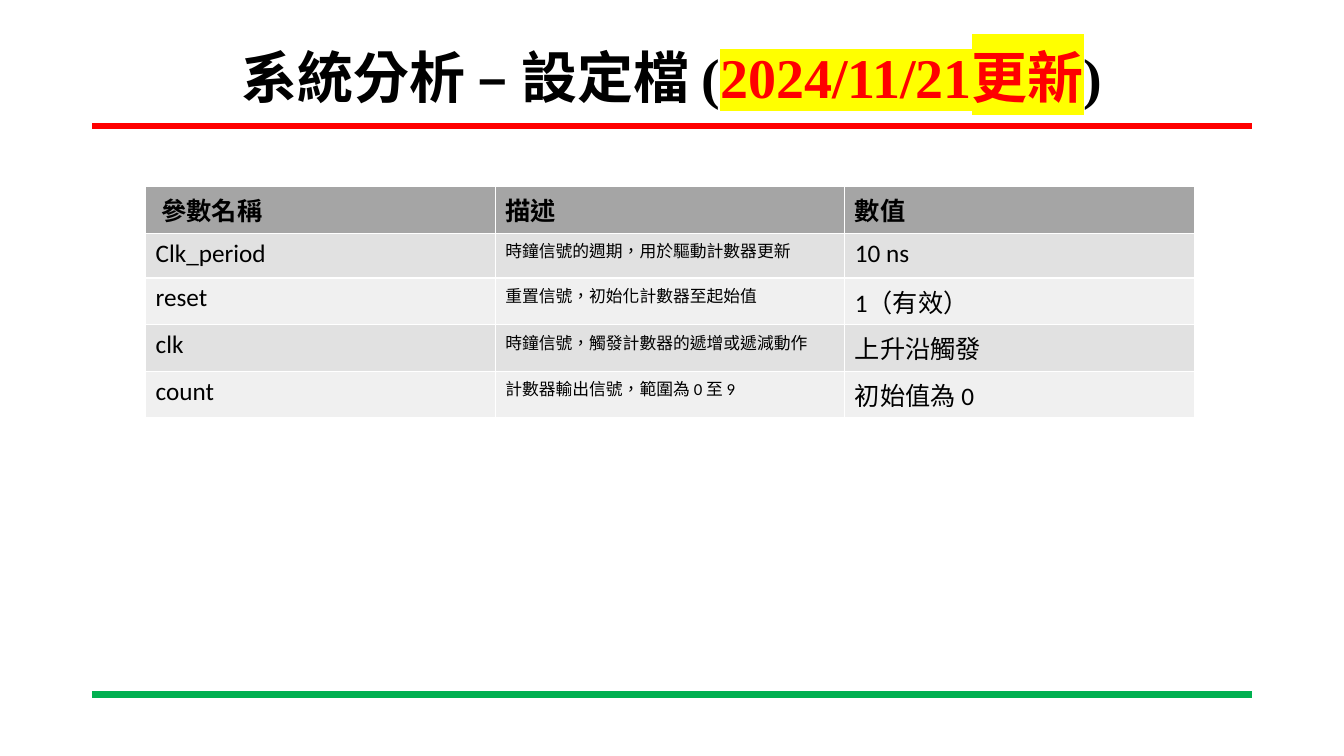
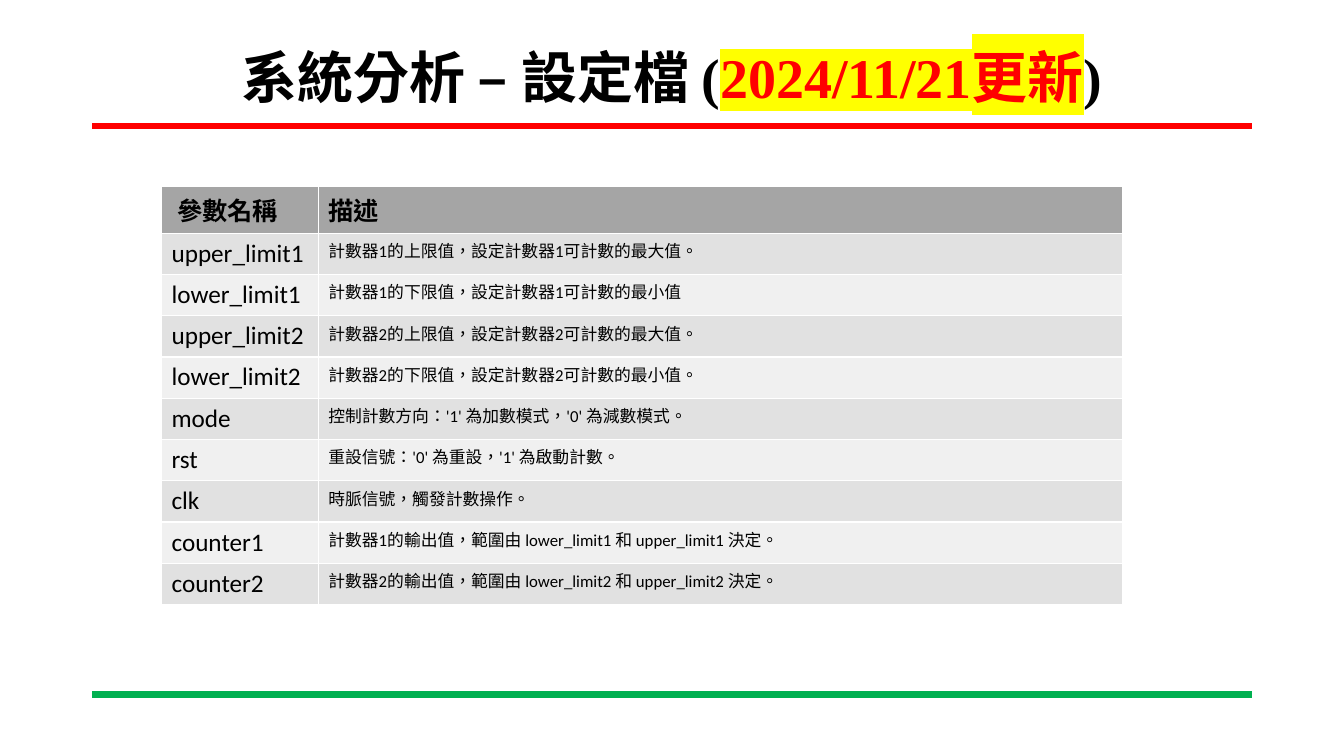
from dataclasses import dataclass

from lxml.etree import SubElement
from pptx import Presentation
from pptx.dml.color import RGBColor
from pptx.enum.lang import MSO_LANGUAGE_ID as Language
from pptx.enum.shapes import MSO_CONNECTOR as Connector
from pptx.enum.text import MSO_ANCHOR as Anchor, MSO_AUTO_SIZE as AutoSize, PP_ALIGN as Align
from pptx.oxml.ns import qn
from pptx.slide import Slide, SlideLayout
from pptx.util import Cm, Pt

COLOURS = {
    "text": "000000",
    "update": "FF0000",
    "marker": "FFFF00",
    "top_rule": "FF0000",
    "bottom_rule": "00B050",
    "header": "A5A5A5",
    "odd_row": "E1E1E1",
    "even_row": "F0F0F0",
}
TITLE_FONT = "Times New Roman"
TABLE_FONT = "Calibri"
MARGIN = 2.33
CONTENT_WIDTH = 29.21
TABLE_TOP = 4.7
DESCRIPTION_COLUMN = 1


@dataclass(frozen=True)
class TextRun:
    text: str
    colour: str = "text"
    highlight: str | None = None


@dataclass(frozen=True)
class Rule:
    y: float
    colour: str


@dataclass(frozen=True)
class ParameterTable:
    left: float
    column_widths: tuple[float, ...]
    row_height: float
    rows: tuple[tuple[str, ...], ...]


TITLE = (
    TextRun("系統分析 – 設定檔 ("),
    TextRun("2024/11/21更新", "update", "marker"),
    TextRun(")"),
)
RULES = (Rule(3.18, "top_rule"), Rule(17.5, "bottom_rule"))

SIGNALS = ParameterTable(3.67, (8.81,) * 3, 1.13, (
    (" 參數名稱", "描述", "數值"),
    ("Clk_period", "時鐘信號的週期，用於驅動計數器更新", "10 ns"),
    ("reset", "重置信號，初始化計數器至起始值", "1（有效）"),
    ("clk", "時鐘信號，觸發計數器的遞增或遞減動作", "上升沿觸發"),
    ("count", "計數器輸出信號，範圍為 0 至 9", "初始值為 0"),
))
COUNTERS = ParameterTable(4.07, (3.95, 20.27), 1.04, (
    (" 參數名稱", "描述"),
    ("upper_limit1", "計數器1的上限值，設定計數器1可計數的最大值。"),
    ("lower_limit1", "計數器1的下限值，設定計數器1可計數的最小值"),
    ("upper_limit2", "計數器2的上限值，設定計數器2可計數的最大值。"),
    ("lower_limit2", "計數器2的下限值，設定計數器2可計數的最小值。"),
    ("mode", "控制計數方向：'1' 為加數模式，'0' 為減數模式。"),
    ("rst", "重設信號：'0' 為重設，'1' 為啟動計數。"),
    ("clk", "時脈信號，觸發計數操作。"),
    ("counter1", "計數器1的輸出值，範圍由 lower_limit1 和 upper_limit1 決定。"),
    ("counter2", "計數器2的輸出值，範圍由 lower_limit2 和 upper_limit2 決定。"),
))


def rgb(colour: str) -> RGBColor:
    return RGBColor.from_string(COLOURS[colour])


def add_run(paragraph, content: TextRun, font_name: str, size: float, bold: bool) -> None:
    run = paragraph.add_run()
    run.text = content.text
    font = run.font
    font.name, font.size, font.bold = font_name, Pt(size), bold
    font.language_id = Language.TRADITIONAL_CHINESE
    font.color.rgb = rgb(content.colour)
    if content.highlight:
        properties = run._r.get_or_add_rPr()
        highlight = SubElement(properties, qn("a:highlight"))
        SubElement(highlight, qn("a:srgbClr"), val=COLOURS[content.highlight])
        properties.find(qn("a:solidFill")).addnext(highlight)


def place_title(layout: SlideLayout) -> None:
    title = next(iter(layout.placeholders))
    title.left, title.top = Cm(MARGIN), Cm(1.02)
    title.width, title.height = Cm(CONTENT_WIDTH), Cm(2.01)
    title.text_frame.vertical_anchor = Anchor.MIDDLE
    title.text_frame.auto_size = AutoSize.NONE


def add_rule(layout: SlideLayout, slide: Slide, rule: Rule) -> None:
    line = slide.shapes.add_connector(
        Connector.STRAIGHT, Cm(MARGIN), Cm(rule.y), Cm(MARGIN + CONTENT_WIDTH), Cm(rule.y)
    )
    line.line.color.rgb = rgb(rule.colour)
    line.line.width = Pt(4.5)
    SubElement(line.element.spPr, qn("a:effectLst"))
    layout.shapes.element.append(line.element)


def fill_title(slide: Slide) -> None:
    paragraph = slide.shapes.title.text_frame.paragraphs[0]
    paragraph.alignment = Align.CENTER
    paragraph.line_spacing = 0.9
    for content in TITLE:
        add_run(paragraph, content, TITLE_FONT, 40, True)


def row_colour(row: int) -> str:
    if row == 0:
        return "header"
    return "odd_row" if row % 2 else "even_row"


def add_parameters(slide: Slide, parameters: ParameterTable) -> None:
    rows, widths = parameters.rows, parameters.column_widths
    table = slide.shapes.add_table(
        len(rows), len(widths), Cm(parameters.left), Cm(TABLE_TOP),
        Cm(sum(widths)), Cm(parameters.row_height * len(rows)),
    ).table
    for column, width in zip(table.columns, widths):
        column.width = Cm(width)
    for row, texts in enumerate(rows):
        table.rows[row].height = Cm(parameters.row_height)
        for column, text in enumerate(texts):
            cell = table.cell(row, column)
            cell.fill.solid()
            cell.fill.fore_color.rgb = rgb(row_colour(row))
            is_header = row == 0
            size = 12 if column == DESCRIPTION_COLUMN and not is_header else 18
            add_run(cell.text_frame.paragraphs[0], TextRun(text), TABLE_FONT, size, is_header)


def main() -> None:
    presentation = Presentation()
    presentation.slide_width, presentation.slide_height = Cm(33.87), Cm(19.05)
    layout = presentation.slide_layouts.get_by_name("Title Only")
    place_title(layout)
    slides = [presentation.slides.add_slide(layout) for _ in range(2)]
    for rule in RULES:
        add_rule(layout, slides[0], rule)
    for slide, parameters in zip(slides, (SIGNALS, COUNTERS)):
        fill_title(slide)
        add_parameters(slide, parameters)
    presentation.save("out.pptx")


if __name__ == "__main__":
    main()
